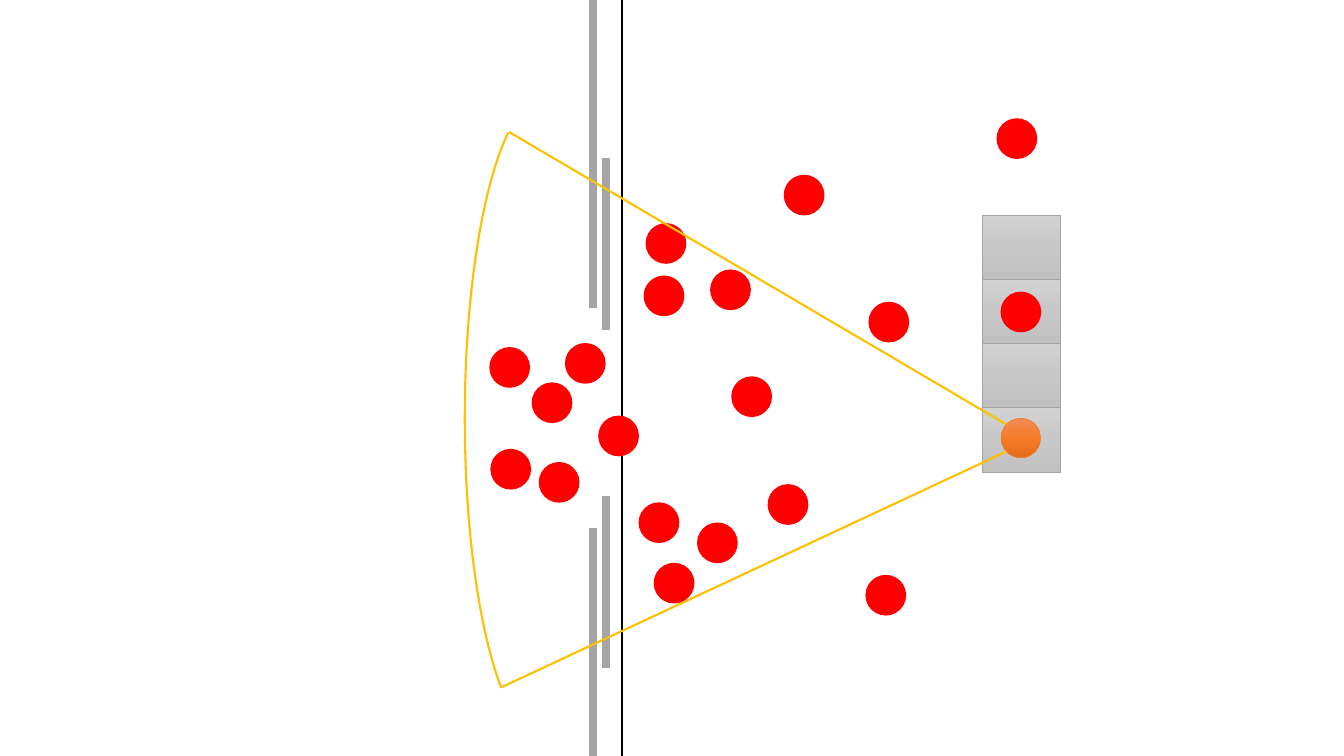
from copy import deepcopy
from pptx import Presentation
from pptx.dml.color import RGBColor
from pptx.enum.shapes import MSO_CONNECTOR, MSO_SHAPE
from pptx.oxml.ns import qn
from pptx.oxml.xmlchemy import OxmlElement
from pptx.util import Inches, Pt

SLIDE_WIDTH, SLIDE_HEIGHT = 13.33, 7.5

THEME = {
    "seat": {"fill": ("D2D2D2", "C8C8C8", "C0C0C0"), "line": "A5A5A5", "width": 0.5},
    "person": {"fill": ("FF0000",), "line": "FF0000", "width": 1},
    "observer": {"fill": ("F18C57", "F67B28", "E56C19"), "line": "ED7D31", "width": 0.5},
    "view": {"fill": (), "line": "FFC000", "width": 1.5},
    "threshold": {"line": "000000", "width": 1.5},
    "door": {"line": "A5A5A5", "width": 6},
}

SEATS = {"left": 9.74, "top": 2.14, "width": 0.78, "height": 0.64, "pitch": 0.635, "count": 4}
DOT = 0.39
OBSERVER = (9.93, 4.15)
PEOPLE = [
    (5.94, 4.13), (5.61, 3.41), (9.93, 2.9), (6.39, 2.74), (6.92, 5.19),
    (6.34, 4.99), (5.35, 4.59), (5.28, 3.8), (4.86, 3.45), (7.78, 1.74),
    (7.26, 3.74), (7.05, 2.68), (6.41, 2.22), (8.62, 3), (6.49, 5.59),
    (4.87, 4.46), (9.89, 1.18), (8.59, 5.71), (7.62, 4.81),
]
THRESHOLD_X, WALL_X, DOOR_X = 6.17, 5.88, 6.01
PARTITIONS = [
    ("threshold", THRESHOLD_X, 0, SLIDE_HEIGHT),
    ("door", WALL_X, 0, 3.06),
    ("door", WALL_X, 5.24, SLIDE_HEIGHT),
    ("door", DOOR_X, 4.92, 6.63),
    ("door", DOOR_X, 1.57, 3.27),
]
SIGHT_LINES = [((9.98, 4.21), (5.05, 1.31)), ((9.98, 4.48), (4.97, 6.82))]
VIEW_ARC = {"box": (4.61, 0.96, 1.59, 6.38), "rotation": 180, "adjustments": (167.549, 49.605)}


def style_line(line, style):
    line.color.rgb = RGBColor.from_string(style["line"])
    line.width = Pt(style["width"])


def style_fill(shape, colours):
    fill = shape.fill
    if not colours:
        fill.background()
    elif len(colours) == 1:
        fill.solid()
        fill.fore_color.rgb = RGBColor.from_string(colours[0])
    else:
        fill.gradient()
        fill.gradient_angle = 270
        stops = shape.element.spPr.find(".//" + qn("a:gsLst"))
        stops.insert(1, deepcopy(stops[0]))
        for index, (stop, colour) in enumerate(zip(fill.gradient_stops, colours)):
            stop.color.rgb = RGBColor.from_string(colour)
            stop.position = index / (len(colours) - 1)


def add_figure(slide, kind, role, box):
    figure = slide.shapes.add_shape(kind, *map(Inches, box))
    figure.shadow.inherit = False
    style_fill(figure, THEME[role]["fill"])
    style_line(figure.line, THEME[role])
    return figure


def add_stroke(slide, role, start, end):
    stroke = slide.shapes.add_connector(MSO_CONNECTOR.STRAIGHT, *map(Inches, start + end))
    style_line(stroke.line, THEME[role])
    stroke.element.spPr.append(OxmlElement("a:effectLst"))


def main():
    deck = Presentation()
    for side, length in {"slide_width": SLIDE_WIDTH, "slide_height": SLIDE_HEIGHT}.items():
        setattr(deck, side, Inches(length))
    slide = deck.slides.add_slide(deck.slide_layouts.get_by_name("Blank"))

    for row in range(SEATS["count"]):
        top = SEATS["top"] + row * SEATS["pitch"]
        add_figure(slide, MSO_SHAPE.RECTANGLE, "seat",
                   (SEATS["left"], top, SEATS["width"], SEATS["height"]))

    for role, x, top, bottom in PARTITIONS:
        add_stroke(slide, role, (x, top), (x, bottom))

    dots = [("person", place) for place in PEOPLE] + [("observer", OBSERVER)]
    for role, place in dots:
        add_figure(slide, MSO_SHAPE.OVAL, role, place + (DOT, DOT))

    for eye, limit in SIGHT_LINES:
        add_stroke(slide, "view", eye, limit)

    arc = add_figure(slide, MSO_SHAPE.ARC, "view", VIEW_ARC["box"])
    arc.rotation = VIEW_ARC["rotation"]
    for index, angle in enumerate(VIEW_ARC["adjustments"]):
        arc.adjustments[index] = angle

    deck.save("out.pptx")


if __name__ == "__main__":
    main()
